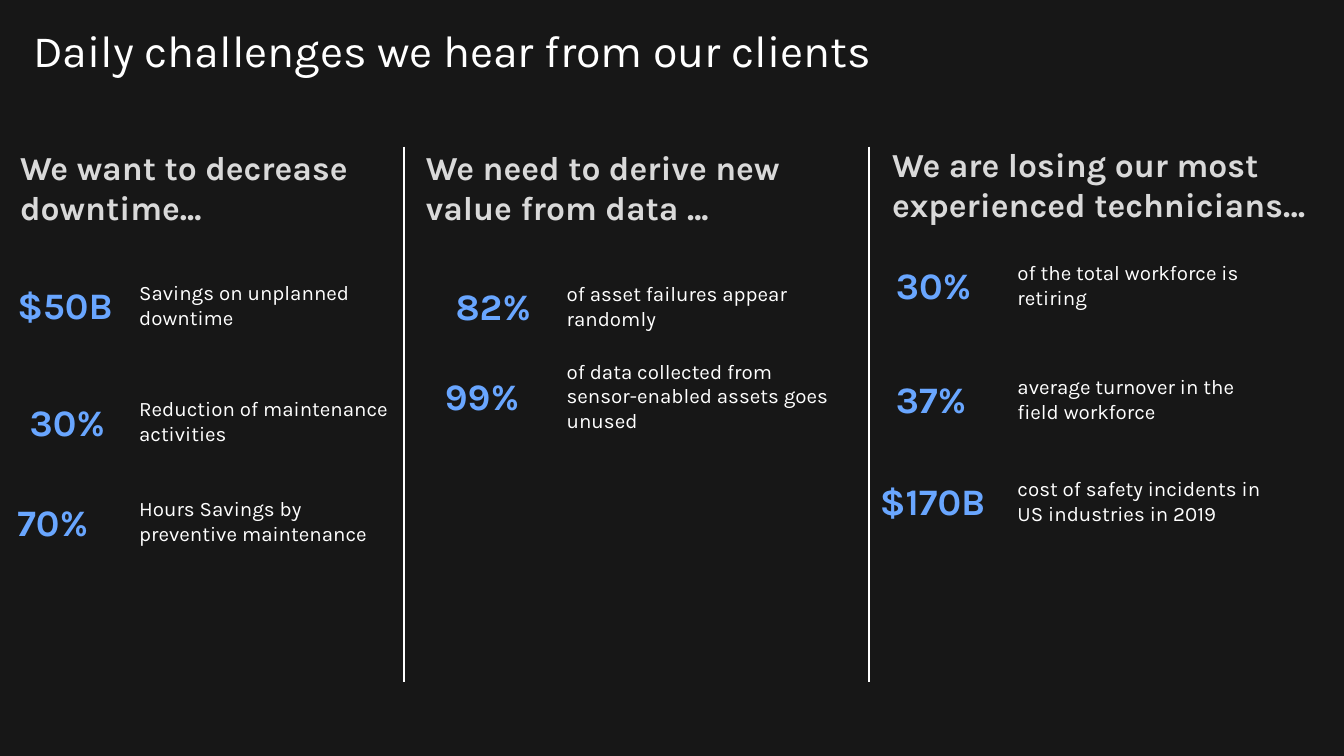
from dataclasses import dataclass

from lxml import etree
from pptx import Presentation
from pptx.dml.color import RGBColor
from pptx.enum import shapes, text
from pptx.oxml import ns
from pptx.util import Cm, Pt


@dataclass(frozen=True)
class Theme:
    font: str = "Karla"
    background: RGBColor = RGBColor(0x17, 0x17, 0x17)
    white: RGBColor = RGBColor(0xFF, 0xFF, 0xFF)
    heading: RGBColor = RGBColor(0xD9, 0xD9, 0xD9)
    accent: RGBColor = RGBColor(0x69, 0xA6, 0xFF)
    title_size: int = 24
    heading_size: int = 18
    figure_size: int = 20
    label_size: int = 11


theme = Theme()
TOP, MIDDLE = text.MSO_ANCHOR.TOP, text.MSO_ANCHOR.MIDDLE
DIVIDERS = (7.63, 16.43)
DIVIDER_TOP, DIVIDER_BOTTOM = 2.77, 12.89
HEADING_HEIGHT, FIGURE_HEIGHT, LABEL_HEIGHT = 2.31, 1.07, 1.42

# Heading: text, left, top, width; then the left edge of the labels.
# Stats: middle height, figure, figure left, figure width, label, label width.
columns = [
    ("We want to decrease downtime...", 0.38, 2.77, 7.34, 2.63, [
        (5.76, "$50B", 0.33, 2.03, "Savings on unplanned downtime", 4.93),
        (7.96, "30%", 0.56, 2.03, "Reduction of maintenance activities", 4.93),
        (9.85, "70%", 0.33, 2.03, "Hours Savings by preventive maintenance", 4.5),
    ]),
    ("We need to derive new value from data ...", 8.05, 2.77, 7.82, 10.71, [
        (5.78, "82%", 8.61, 2.03, "of asset failures appear randomly", 5.03),
        (7.48, "99%", 8.41, 2.03,
         "of data collected from sensor-enabled assets goes unused", 5.03),
    ]),
    ("We are losing our most experienced technicians…", 16.86, 2.72, 8.38, 19.23, [
        (5.38, "30%", 16.93, 2.03, "of the total workforce is retiring", 4.93),
        (7.54, "37%", 16.93, 2.03, "average turnover in the field workforce", 4.93),
        (9.47, "$170B", 16.63, 2.34,
         "cost of safety incidents in US industries in 2019", 5.03),
    ]),
]

prs = Presentation()
prs.slide_width, prs.slide_height = Cm(25.4), Cm(14.29)
s = prs.slides.add_slide(prs.slide_layouts[6])
s.background.fill.solid()
s.background.fill.fore_color.rgb = theme.background


def add_text(content, left, top, width, height, size, color, bold=False, anchor=TOP):
    """Add a wrapping text box without margins, measured in cm; return its paragraph."""
    tf = s.shapes.add_textbox(Cm(left), Cm(top), Cm(width), Cm(height)).text_frame
    tf.word_wrap = True
    tf.vertical_anchor = anchor
    tf.margin_left = tf.margin_top = tf.margin_right = tf.margin_bottom = 0
    p = tf.paragraphs[0]
    r = p.add_run()
    r.text = content
    r.font.name = theme.font
    r.font.size = Pt(size)
    r.font.bold = bold
    r.font.color.rgb = color
    return p


title = add_text("Daily challenges we hear from our clients", 0.63, 0.54, 19.15, 1.22,
                 theme.title_size, theme.white)
title.line_spacing = 0.9

for heading, left, top, width, label_left, stats in columns:
    add_text(heading, left, top, width, HEADING_HEIGHT,
             theme.heading_size, theme.heading, bold=True)
    for middle, figure, figure_left, figure_width, label, label_width in stats:
        add_text(figure, figure_left, middle - FIGURE_HEIGHT / 2, figure_width,
                 FIGURE_HEIGHT, theme.figure_size, theme.accent, True, MIDDLE)
        add_text(label, label_left, middle - LABEL_HEIGHT / 2, label_width,
                 LABEL_HEIGHT, theme.label_size, theme.white, anchor=MIDDLE)

for x in DIVIDERS:
    divider = s.shapes.add_connector(shapes.MSO_CONNECTOR.STRAIGHT, Cm(x),
                                     Cm(DIVIDER_TOP), Cm(x), Cm(DIVIDER_BOTTOM))
    divider.line.color.rgb = theme.white
    divider.line.width = Pt(1)
    etree.SubElement(divider._element.spPr, ns.qn("a:effectLst"))

prs.save("out.pptx")
